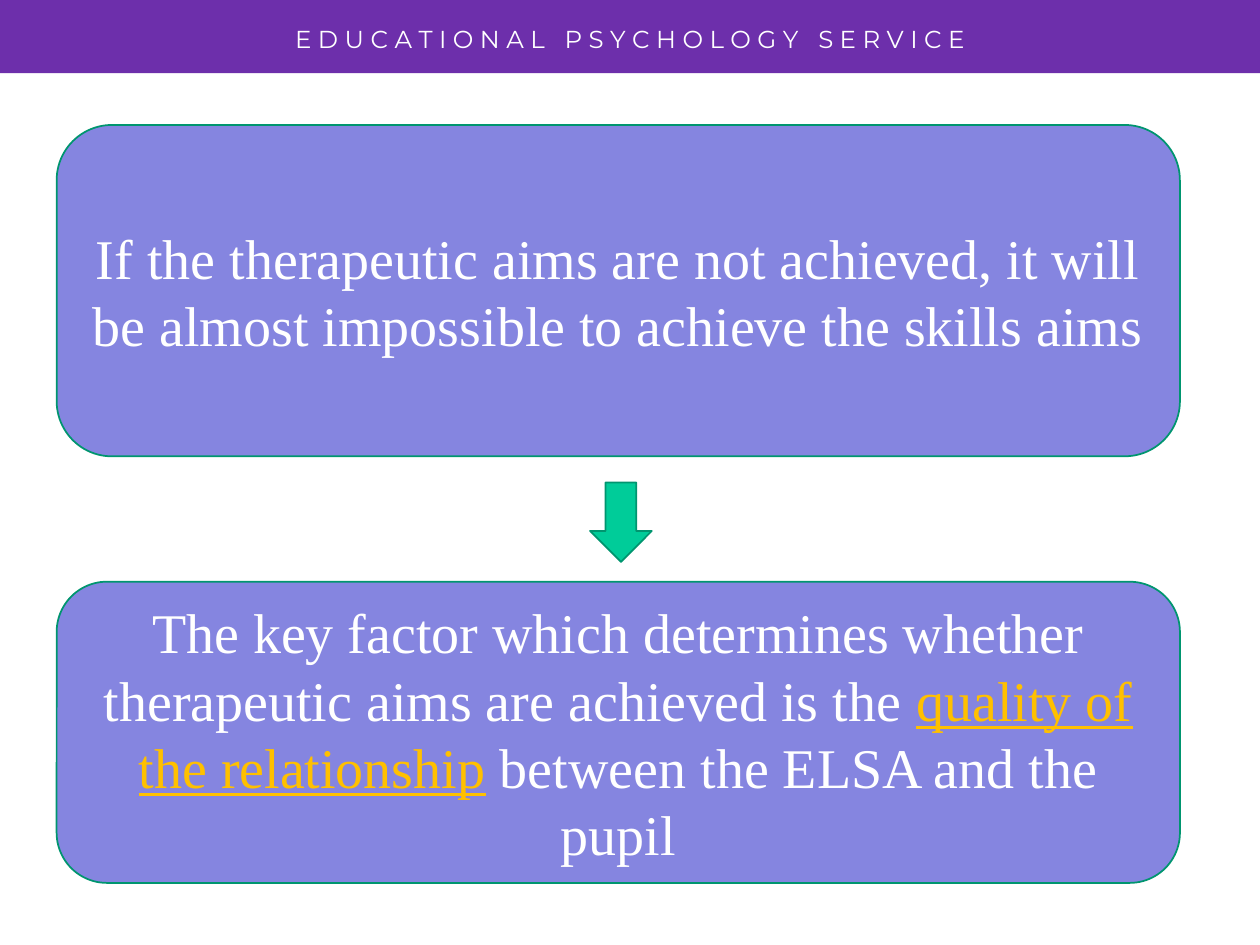
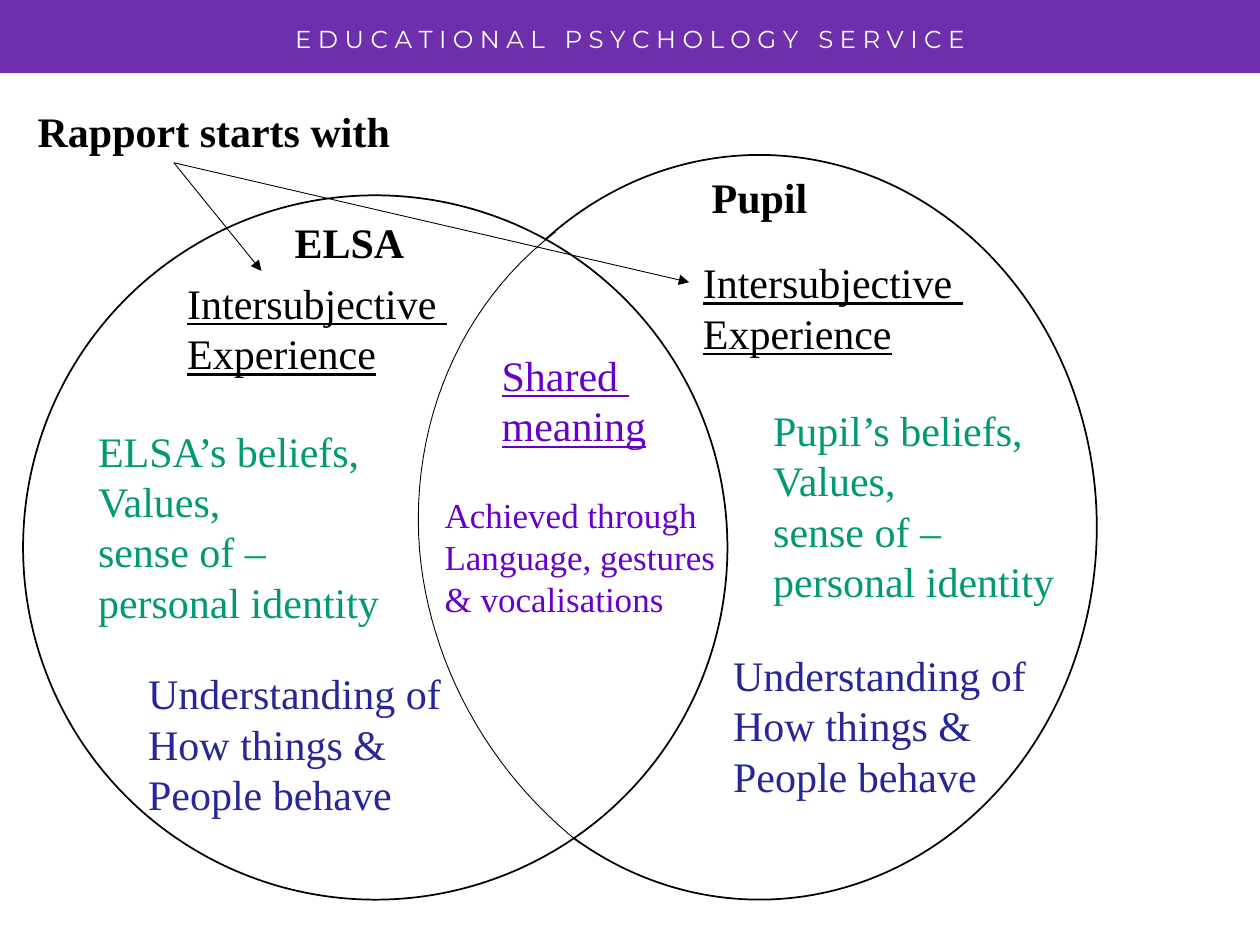
from dataclasses import dataclass
from typing import NamedTuple

import lxml.etree
import pptx
import pptx.dml.color
import pptx.enum.shapes
import pptx.enum.text
import pptx.oxml.ns
import pptx.util

SHAPE = pptx.enum.shapes.MSO_SHAPE
ALIGN = pptx.enum.text.PP_ALIGN
ANCHOR = pptx.enum.text.MSO_ANCHOR
FIT = pptx.enum.text.MSO_AUTO_SIZE
qn = pptx.oxml.ns.qn

# Grid of 100 columns by 75 rows, all cells square
COLS, ROWS = 100, 75
CELL = pptx.util.Inches(0.1)
SERVICE = "EDUCATIONAL PSYCHOLOGY SERVICE"


@dataclass(frozen=True)
class Theme:
    serif: str = "Times New Roman"
    sans: str = "Montserrat"
    white: str = "FFFFFF"
    black: str = "000000"
    band: str = "6D2FAB"
    panel: str = "8585E0"
    outline: str = "00956F"
    arrow: str = "00CC99"
    accent: str = "FFC000"
    shared: str = "6600CC"
    beliefs: str = "009973"
    understanding: str = "262699"
    header_size: float = 14
    header_word_gap: float = 7.4
    statement_size: float = 32
    note_size: float = 24
    detail_size: float = 20
    line: float = 1
    thin_line: float = 0.5


THEME = Theme()


class Box(NamedTuple):
    left: float
    top: float
    width: float
    height: float


class Piece(NamedTuple):
    text: str
    color: str = THEME.white
    underline: bool = False


@dataclass(frozen=True)
class Note:
    lines: tuple[str, ...]
    box: Box
    color: str = THEME.black
    size: float = THEME.note_size
    bold: bool = False
    underline: bool = False
    wrap: bool = False


@dataclass(frozen=True)
class Person:
    name: str
    circle: Box
    name_at: tuple[float, float]
    experience_at: tuple[float, float]
    beliefs_at: tuple[float, float]
    understanding_at: tuple[float, float]

    def notes(self) -> list[Note]:
        return [
            Note((self.name,), Box(*self.name_at, 12.6, 5), bold=True, wrap=True),
            Note(("Intersubjective ", "Experience"),
                 Box(*self.experience_at, 22.8, 9), underline=True),
            Note((f"{self.name}’s beliefs,", "Values,", "sense of –", "personal identity"),
                 Box(*self.beliefs_at, 24.3, 17), THEME.beliefs),
            Note(("Understanding of", "How things &", "People behave"),
                 Box(*self.understanding_at, 25.2, 13), THEME.understanding),
        ]


# Shared helpers
def grid(*cells: float) -> list[int]:
    return [round(c * CELL) for c in cells]


def rgb(color: str) -> pptx.dml.color.RGBColor:
    return pptx.dml.color.RGBColor.from_string(color)


def set_attrs(target, values: dict) -> None:
    for name, value in values.items():
        setattr(target, name, value)


def add_run(p, text: str, color: str, size: float, font: str = THEME.serif, **extra) -> None:
    r = p.add_run()
    r.text = text
    set_attrs(r.font, {"name": font, "size": pptx.util.Pt(size), **extra})
    r.font.color.rgb = rgb(color)


def add_figure(s, kind, box: Box, fill: str, line: str | None = None):
    sp = s.shapes.add_shape(kind, *grid(*box))
    sp.shadow.inherit = False
    sp.fill.solid()
    sp.fill.fore_color.rgb = rgb(fill)
    if line:
        sp.line.color.rgb = rgb(line)
        sp.line.width = pptx.util.Pt(THEME.line)
    else:
        sp.line.fill.background()
    return sp


def add_panel(s, box: Box, pieces: list[Piece]) -> None:
    sp = add_figure(s, SHAPE.FLOWCHART_ALTERNATE_PROCESS, box, THEME.panel, THEME.outline)
    tf = sp.text_frame
    set_attrs(tf, {"word_wrap": True, "vertical_anchor": ANCHOR.MIDDLE})
    p = tf.paragraphs[0]
    p.alignment = ALIGN.CENTER
    for piece in pieces:
        add_run(p, piece.text, piece.color, THEME.statement_size, underline=piece.underline)


def add_note(s, note: Note) -> None:
    tf = s.shapes.add_textbox(*grid(*note.box)).text_frame
    set_attrs(tf, {"word_wrap": note.wrap, "auto_size": FIT.SHAPE_TO_FIT_TEXT})
    for i, line in enumerate(note.lines):
        p = tf.add_paragraph() if i else tf.paragraphs[0]
        add_run(p, line, note.color, note.size, bold=note.bold, underline=note.underline)


def add_arrow(s, start: tuple[float, float], end: tuple[float, float]) -> None:
    kind = pptx.enum.shapes.MSO_CONNECTOR.STRAIGHT
    con = s.shapes.add_connector(kind, *grid(*start, *end))
    con.line.color.rgb = rgb(THEME.black)
    con.line.width = pptx.util.Pt(THEME.thin_line)
    props = con.element.spPr
    lxml.etree.SubElement(props.find(qn("a:ln")), qn("a:tailEnd"), type="triangle")
    lxml.etree.SubElement(props, qn("a:effectLst"))


def bezier(points: list[tuple[float, float]], steps: int = 24) -> list[tuple[float, float]]:
    """Points along a cubic curve, without its start."""
    curve = []
    for t in (i / steps for i in range(1, steps + 1)):
        weights = ((1 - t) ** 3, 3 * t * (1 - t) ** 2, 3 * t ** 2 * (1 - t), t ** 3)
        curve.append(tuple(sum(w * pt[axis] for w, pt in zip(weights, points))
                           for axis in (0, 1)))
    return curve


def add_arc(s, start: tuple[float, float], *curves: list[tuple[float, float]]) -> None:
    points = [start]
    for controls in curves:
        points += bezier([points[-1], *controls])
    builder = s.shapes.build_freeform(*grid(*start))
    builder.add_line_segments([tuple(grid(*pt)) for pt in points[1:]], close=False)
    sp = builder.convert_to_shape()
    sp.shadow.inherit = False
    sp.fill.background()
    sp.line.color.rgb = rgb(THEME.black)
    sp.line.width = pptx.util.Pt(THEME.thin_line)


def new_slide(prs):
    """Slide with the purple band and the letter-spaced service title."""
    s = prs.slides.add_slide(prs.slide_layouts[5])
    band = add_figure(s, SHAPE.RECTANGLE, Box(0, 0, COLS, 5.8), THEME.band)
    title = s.shapes.title
    band.element.addnext(title.element)
    set_attrs(title, dict(zip(("left", "top", "width", "height"), grid(0, 1.4, COLS, 3.4))))
    tf = title.text_frame
    set_attrs(tf, {"word_wrap": True, "vertical_anchor": ANCHOR.TOP,
                   "auto_size": FIT.SHAPE_TO_FIT_TEXT})
    p = tf.paragraphs[0]
    p.alignment = ALIGN.CENTER
    for i, word in enumerate(SERVICE.split()):
        for text in ([" "] if i else []) + [" ".join(word)]:
            add_run(p, text, THEME.white, THEME.header_size, THEME.sans)
    # Widen the spaces between words
    for r in title.element.iter(qn("a:r")):
        if r.find(qn("a:t")).text == " ":
            r.find(qn("a:rPr")).set("spc", str(round(THEME.header_word_gap * 100)))
    return s


# Slide 1: therapeutic aims lead to the key factor
def build_aims(prs) -> None:
    s = new_slide(prs)
    left, width = 4.5, 89.15
    add_panel(s, Box(left, 46.17, width, 23.9), [
        Piece("The key factor which determines whether therapeutic aims are achieved is the "),
        Piece("quality of the relationship", THEME.accent, True),
        Piece(" between the ELSA and the pupil"),
    ])
    add_panel(s, Box(left, 9.92, width, 26.3), [
        Piece("If the therapeutic aims are not achieved, it will be almost impossible "
              "to achieve the skills aims"),
    ])
    arrow = add_figure(s, SHAPE.RIGHT_ARROW, Box(46.13, 39, 6.3, 4.9),
                       THEME.arrow, THEME.outline)
    arrow.rotation = 90


# Slide 2: overlapping experience of ELSA and pupil
def build_rapport(prs) -> None:
    s = new_slide(prs)
    people = [
        Person("Pupil", Box(33.5, 12.3, 53.55, 59.1), (55.5, 13.1), (54.8, 19.9),
               (60.38, 31.6), (57.2, 51.05)),
        Person("ELSA", Box(1.83, 15.5, 55.9, 55.9), (22.4, 16.7), (13.87, 21.53),
               (6.8, 33.25), (10.77, 52.5)),
    ]
    for person in people:
        add_figure(s, SHAPE.FLOWCHART_CONNECTOR, person.circle, THEME.white, THEME.black)

    # Pupil's edge inside the overlap
    add_arc(s, (46, 66.9),
            [(38.8, 61.2), (34.1, 52.7), (33.3, 43.7)],
            [(32.5, 33.7), (36.5, 24.2), (44.1, 18.4)])

    # Text of both circles and of the overlap
    notes = [note for person in people for note in person.notes()]
    notes += [
        Note(("Shared ", "meaning"), Box(38.83, 27.25, 13.5, 9), THEME.shared, underline=True),
        Note(("Achieved through", "Language, gestures", "& vocalisations"),
             Box(34.3, 38.65, 23.5, 11), THEME.shared, THEME.detail_size),
        Note(("Rapport starts with",), Box(2, 7.9, 30.1, 5), bold=True),
    ]
    for note in notes:
        add_note(s, note)

    # Arrows from rapport to each experience
    for end in ((20.75, 21.5), (54.7, 22.4)):
        add_arrow(s, (13.8, 12.92), end)


def main() -> None:
    prs = pptx.Presentation()
    prs.slide_width, prs.slide_height = grid(COLS, ROWS)
    build_aims(prs)
    build_rapport(prs)
    prs.save("out.pptx")


if __name__ == "__main__":
    main()
